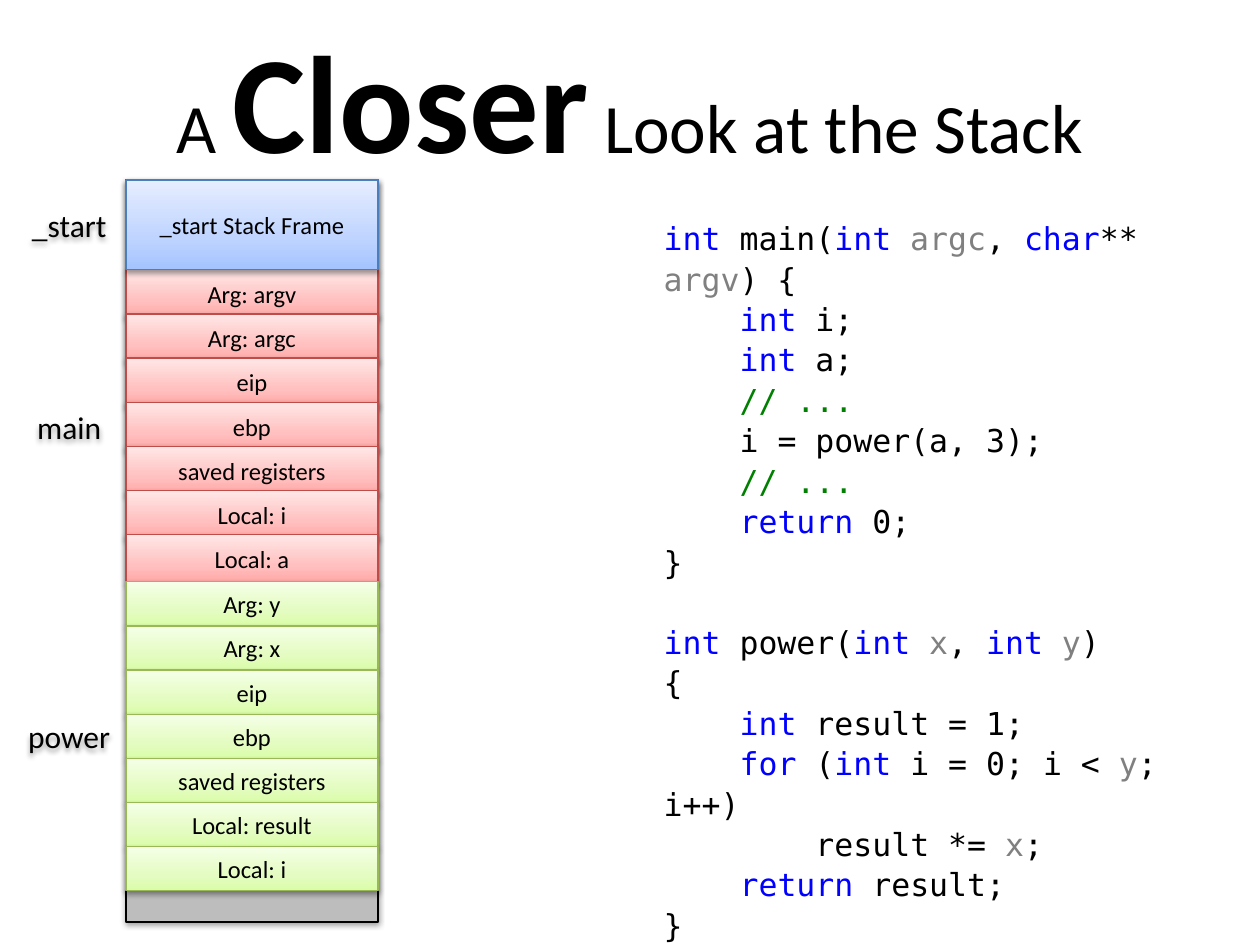
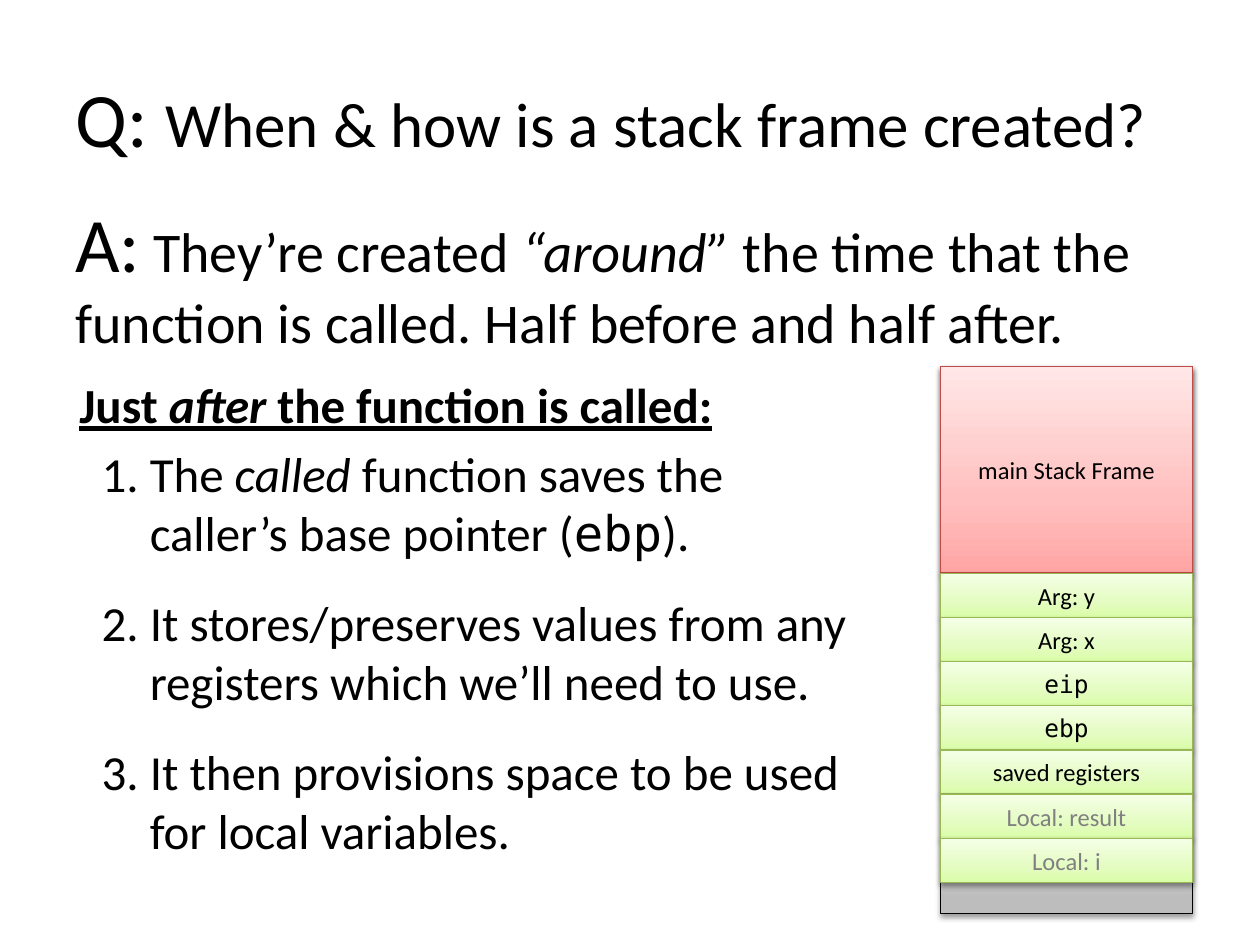
import dataclasses
import typing

import pptx
import pptx.dml.color
import pptx.enum.shapes
import pptx.enum.text
import pptx.oxml
import pptx.oxml.ns
import pptx.util

Cm = pptx.util.Cm
Pt = pptx.util.Pt
ALIGN = pptx.enum.text.PP_ALIGN
ANCHOR = pptx.enum.text.MSO_ANCHOR
AUTO = pptx.enum.text.MSO_AUTO_SIZE
NS = pptx.oxml.ns.nsdecls("a")

HUES = {"black": "000000", "blue": "0000FF", "grey": "808080", "green": "008000"}
FILLS = {
    "gray": ("BDBDBD", "D1D1D1", "EEEEEE"),
    "red": ("FFA6A5", "FFC0BF", "FFE7E7"),
    "blue": ("A4C4FF", "BFD4FF", "E6EEFF"),
    "lime": ("DAFDA7", "E4FCC2", "F5FFE7"),
}
EDGES = {"gray": "000000", "red": "BF4C48", "blue": "4B7EBC", "lime": "98B955"}
SANS, MONO = "Calibri", "DejaVu Sans Mono"
WIDTH, PITCH = 5.08, 0.89

STYLES: dict[str, dict[str, typing.Any]] = {
    "n": {},
    "k": {"hue": "blue"},
    "g": {"hue": "grey"},
    "c": {"hue": "green"},
    "i": {"italic": True},
    "m": {"name": MONO},
    "u": {"bold": True, "underline": True},
    "v": {"bold": True, "underline": True, "italic": True},
    "x": {"size": Pt(79.2), "bold": True},
    "q": {"size": Pt(44)},
}


@dataclasses.dataclass
class Box:
    left: float
    top: float
    width: float
    height: float


@dataclasses.dataclass
class Para:
    text: str
    form: dict[str, typing.Any] = dataclasses.field(default_factory=dict)
    first: float = 0
    left: float = 0
    count: bool = False


@dataclasses.dataclass
class Cell:
    text: str
    style: str = "n"


def place(shape, box: Box) -> None:
    for key, size in dataclasses.asdict(box).items():
        setattr(shape, key, Cm(size))


def write(frame, paras: list[Para], size: float, font: str = SANS, **form) -> None:
    frame.word_wrap = True
    for key, value in form.items():
        setattr(frame, key, value)
    for spot, para in enumerate(paras):
        line = frame.add_paragraph() if spot else frame.paragraphs[0]
        for key, value in para.form.items():
            setattr(line, key, value)
        props = line._p.get_or_add_pPr()
        if para.first or para.left:
            props.set("marL", str(Cm(para.left)))
            props.set("indent", str(Cm(para.first)))
        if para.count:
            props.append(pptx.oxml.parse_xml(f'<a:buFont {NS} typeface="+mj-lt"/>'))
            props.append(pptx.oxml.parse_xml(f'<a:buAutoNum {NS} type="arabicPeriod"/>'))
        for piece in para.text.split("~")[1:]:
            run = line.add_run()
            run.text = piece[1:]
            look = {"size": Pt(size), "name": font, "hue": "black"} | STYLES[piece[0]]
            run.font.color.rgb = pptx.dml.color.RGBColor.from_string(HUES[look.pop("hue")])
            for key, value in look.items():
                setattr(run.font, key, value)


def shade(shape) -> None:
    shape.shadow.inherit = False
    glow = shape._element.spPr.find(pptx.oxml.ns.qn("a:effectLst"))
    glow.append(pptx.oxml.parse_xml(
        f'<a:outerShdw {NS} blurRad="40000" dist="20000" dir="5400000" rotWithShape="0">'
        '<a:srgbClr val="000000"><a:alpha val="38000"/></a:srgbClr></a:outerShdw>'))


def block(slide, box: Box, tone: str, cell: Cell | None = None) -> None:
    shape = slide.shapes.add_shape(pptx.enum.shapes.MSO_SHAPE.RECTANGLE, 0, 0, 0, 0)
    place(shape, box)
    stops = "".join(
        f'<a:gs pos="{spot}"><a:srgbClr val="{hue}"/></a:gs>'
        for spot, hue in zip((0, 35000, 100000), FILLS[tone]))
    shape._element.spPr.append(pptx.oxml.parse_xml(
        f'<a:gradFill {NS} rotWithShape="1"><a:gsLst>{stops}</a:gsLst>'
        '<a:lin ang="16200000" scaled="0"/></a:gradFill>'))
    shape.line.color.rgb = pptx.dml.color.RGBColor.from_string(EDGES[tone])
    shape.line.width = Pt(0.75)
    shade(shape)
    if cell:
        write(shape.text_frame, [Para(f"~{cell.style}{cell.text}", {"alignment": ALIGN.CENTER})],
              14, vertical_anchor=ANCHOR.MIDDLE)


def stack(slide, left: float, top: float, tall: float, tone: str, cells: list[Cell]) -> None:
    for row, cell in enumerate(cells):
        block(slide, Box(left, top + row * PITCH, WIDTH, tall), tone, cell)


def note(slide, box: Box, paras: list[Para], size: float, font: str = SANS, **form):
    shape = slide.shapes.add_textbox(0, 0, 0, 0)
    write(shape.text_frame, paras, size, font, **form)
    place(shape, box)
    return shape


def label(slide, text: str, top: float, tall: float) -> None:
    shape = note(slide, Box(0.25, top, 2.29, tall),
                 [Para(f"~n{text}", {"alignment": ALIGN.CENTER})], 18,
                 vertical_anchor=ANCHOR.MIDDLE, margin_left=0, margin_right=0)
    shade(shape)


def start(deck, text: str, top: float, size: float, align):
    slide = deck.slides.add_slide(deck.slide_layouts[5])
    title = slide.shapes.title
    place(title, Box(1.27, top, 22.86, 3.18))
    write(title.text_frame, [Para(text, {"alignment": align})], size,
          vertical_anchor=ANCHOR.MIDDLE, auto_size=AUTO.NONE)
    return slide


def code(text: str, depth: int = 0, **form) -> Para:
    return Para(text, {"line_spacing": 1.07} | form, first=depth * 1.53)


SAVED = "saved registers"
MAIN = [Cell(text) for text in
        ("Arg: argv", "Arg: argc", "eip", "ebp", SAVED, "Local: i", "Local: a")]
POWER = [Cell(text) for text in
         ("Arg: y", "Arg: x", "eip", "ebp", SAVED, "Local: result", "Local: i")]
LOOKS = "nnmmngg"
CODE = [
    code("~kint~n main(~kint ~gargc~n, ~kchar~n** ~gargv~n) {"),
    code("~kint ~ni;", 1),
    code("~kint~n a;", 1),
    code("~c// ...", 1),
    code("~ni = power(a, 3);", 1),
    code("~c// ...", 1),
    code("~kreturn~n 0;", 1),
    code("~n}"),
    code("~kint~n power(~kint ~gx~n, ~kint ~gy~n)", space_before=Pt(22.8)),
    code("~n{"),
    code("~kint~n result = 1;", 1),
    code("~kfor~n (~kint ~ni = 0; i < ~gy~n; i++)", 1),
    code("~nresult *= ~gx~n;", 2),
    code("~kreturn~n result;", 1),
    code("~n}", space_after=Pt(8)),
]
STEPS = [
    "~nThe ~icalled~n function saves the caller’s base pointer (~mebp~n).",
    "~nIt stores/preserves values from any registers which we’ll need to use.",
    "~nIt then provisions space to be used for local variables.",
]


def closer(deck) -> None:
    slide = start(deck, "~nA ~xCloser~n Look at the Stack", 0.38, 39.6, ALIGN.CENTER)
    left = 2.54
    block(slide, Box(left, 3.63, WIDTH, 14.96), "gray")
    stack(slide, left, 5.44, 0.97, "red", MAIN)
    block(slide, Box(left, 3.63, WIDTH, 1.8), "blue", Cell("_start Stack Frame"))
    stack(slide, left, 11.73, PITCH, "lime", POWER)
    note(slide, Box(13.13, 4.24, 11.51, 14.22), CODE, 18, MONO)
    label(slide, "_start", 3.63, 1.8)
    label(slide, "main", 5.49, 6.22)
    label(slide, "power", 11.71, 6.25)


def answer(deck) -> None:
    slide = start(deck, "~qQ: ~nWhen & how is a stack frame created?", 0.76, 36, ALIGN.LEFT)
    note(slide, Box(1.27, 3.81, 22.86, 3.18), [Para(
        "~qA:~n They’re created ~i“around”~n the time that the function is called. "
        "Half before and half after.", {"space_before": Pt(3)})], 32)
    head = Para("~uJust ~vafter~u the function is called:", {"space_after": Pt(6)})
    steps = [Para(text, {"space_after": Pt(18)}, -0.97, 1.42, True) for text in STEPS]
    note(slide, Box(1.35, 7.42, 16, 10.13), [head, *steps], 28)
    left = 18.96
    block(slide, Box(left, 7.39, WIDTH, 11.02), "gray")
    block(slide, Box(left, 7.39, WIDTH, 4.15), "red", Cell("main Stack Frame"))
    cells = [Cell(cell.text, look) for cell, look in zip(POWER, LOOKS)]
    stack(slide, left, 11.56, PITCH, "lime", cells)


deck = pptx.Presentation()
deck.slide_width, deck.slide_height = Cm(25.4), Cm(19.05)
closer(deck)
answer(deck)
deck.save("out.pptx")
